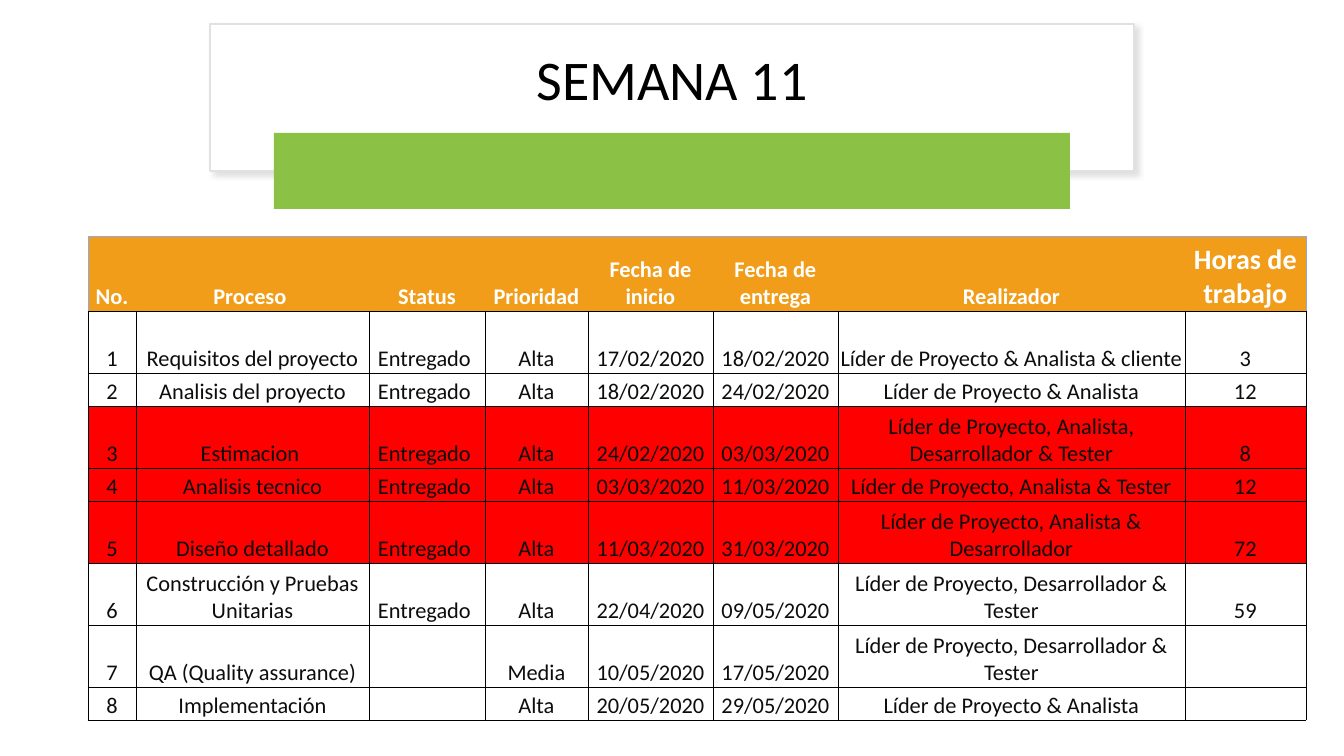
from lxml import etree
from pptx import Presentation, util as u
from pptx.dml.color import RGBColor
from pptx.enum import shapes, text
from pptx.oxml import ns

TITLE = "SEMANA 11"
HEADER = ["No.", "Proceso ", "Status", "Prioridad", "Fecha de inicio",
          "Fecha de entrega", "Realizador", "Horas de trabajo"]
DONE = "Entregado "
TASKS = [
    ("1", "Requisitos del proyecto", DONE, "Alta", "17/02/2020", "18/02/2020",
     "Líder de Proyecto & Analista & cliente", "3"),
    ("2", "Analisis del proyecto", DONE, "Alta", "18/02/2020", "24/02/2020",
     "Líder de Proyecto & Analista", "12"),
    ("3", "Estimacion ", DONE, "Alta", "24/02/2020", "03/03/2020",
     "Líder de Proyecto, Analista, Desarrollador & Tester", "8"),
    ("4", "Analisis tecnico", DONE, "Alta", "03/03/2020", "11/03/2020",
     "Líder de Proyecto, Analista & Tester", "12"),
    ("5", "Diseño detallado", DONE, "Alta", "11/03/2020", "31/03/2020",
     "Líder de Proyecto, Analista & Desarrollador", "72"),
    ("6", "Construcción y Pruebas Unitarias", DONE, "Alta", "22/04/2020", "09/05/2020",
     "Líder de Proyecto, Desarrollador & Tester", "59"),
    ("7", "QA (Quality assurance)", "", "Media", "10/05/2020", "17/05/2020",
     "Líder de Proyecto, Desarrollador & Tester", ""),
    ("8", "Implementación", "", "Alta", "20/05/2020", "29/05/2020",
     "Líder de Proyecto & Analista", ""),
]
LATE = {"3", "4", "5"}

THEME = dict(
    font="Calibri", title_size=40, cell_size=16, hours_size=20,
    black="000000", ink="0D0D0D", white="FFFFFF", card_line="E1E1E1", shadow="C5C3C3",
    green="8BC145", orange="F19D19", red="FF0000", blue="8EA9DB",
)
EMU_PER_PX = 914400 / 100.8
SLIDE = (1344, 756)
CARD = (210, 24, 924, 147)
TITLE_BOX = (232, 34, 880, 96)
BAR = (274, 133, 796, 76)
TABLE_AT = (88, 236)
COLS = [48, 233, 116, 103, 125, 125, 347, 121]
HEADER_H, TALL, SHORT = 75, 62, 33
ROWS = [HEADER_H] + [SHORT if t[0] in {"2", "4", "8"} else TALL for t in TASKS]


def px(n):
    return u.Emu(round(n * EMU_PER_PX))


def color(name):
    return RGBColor.from_string(THEME[name])


def add_box(slide, kind, box, fill, line=None):
    sp = slide.shapes.add_shape(kind, *map(px, box))
    sp.shadow.inherit = False
    sp.fill.solid()
    sp.fill.fore_color.rgb = color(fill)
    if line:
        sp.line.color.rgb = color(line)
        sp.line.width = u.Pt(1)
    else:
        sp.line.fill.background()
    return sp


def add_shadow(sp):
    effects = sp._element.spPr.find(ns.qn("a:effectLst"))
    shadow = etree.SubElement(effects, ns.qn("a:outerShdw"), blurRad=str(u.Pt(4)),
                              dist=str(u.Pt(3)), dir=str(45 * 60000), algn="tl", rotWithShape="0")
    clr = etree.SubElement(shadow, ns.qn("a:srgbClr"), val=THEME["shadow"])
    etree.SubElement(clr, ns.qn("a:alpha"), val="50000")


def style(p, size, ink, bold=False):
    p.alignment = text.PP_ALIGN.CENTER
    p.font.name = THEME["font"]
    p.font.size = u.Pt(size)
    p.font.bold = bold
    p.font.color.rgb = color(ink)


def set_borders(cell, **sides):
    """Draw each named side (L, R, T, B); a side set to None gets no line."""
    tc_pr = cell._tc.get_or_add_tcPr()
    for side in "LRTB":
        ln = etree.SubElement(tc_pr, ns.qn(f"a:ln{side}"), w=str(u.Pt(0.5)))
        if sides.get(side):
            fill = etree.SubElement(ln, ns.qn("a:solidFill"))
            etree.SubElement(fill, ns.qn("a:srgbClr"), val=THEME[sides[side]])
        else:
            etree.SubElement(ln, ns.qn("a:noFill"))


def fill_cell(cell, words, fill, size, ink, bold, borders):
    cell.margin_left = cell.margin_right = cell.margin_top = u.Inches(0.01)
    cell.margin_bottom = 0
    cell.vertical_anchor = text.MSO_ANCHOR.BOTTOM
    set_borders(cell, **borders)
    cell.fill.solid()
    cell.fill.fore_color.rgb = color(fill)
    cell.text = words
    style(cell.text_frame.paragraphs[0], size, ink, bold)


def add_title(slide):
    add_shadow(add_box(slide, shapes.MSO_SHAPE.RECTANGLE, CARD, "white", "card_line"))
    tf = slide.shapes.add_textbox(*map(px, TITLE_BOX)).text_frame
    tf.word_wrap = True
    tf.vertical_anchor = text.MSO_ANCHOR.MIDDLE
    p = tf.paragraphs[0]
    p.text = TITLE
    p.line_spacing = 0.9
    p.space_after = u.Pt(6)
    style(p, THEME["title_size"], "black")
    bar = add_box(slide, shapes.MSO_SHAPE.ROUNDED_RECTANGLE, BAR, "green")
    bar.adjustments[0] = 0


def add_schedule(slide):
    frame = slide.shapes.add_table(len(ROWS), len(COLS), *map(px, (*TABLE_AT, sum(COLS), sum(ROWS))))
    table = frame.table
    table.first_row = table.horz_banding = False
    for col, width in zip(table.columns, COLS):
        col.width = px(width)
    for row, height in zip(table.rows, ROWS):
        row.height = px(height)

    last = len(HEADER) - 1
    for c, words in enumerate(HEADER):
        borders = dict(L="blue" if c == 0 else None, R="blue" if c == last else None,
                       T="blue", B="black")
        size = THEME["hours_size" if c == last else "cell_size"]
        fill_cell(table.cell(0, c), words, "orange", size, "white", True, borders)
    grid = dict.fromkeys("LRTB", "black")
    for r, task in enumerate(TASKS, 1):
        fill = "red" if task[0] in LATE else "white"
        for c, words in enumerate(task):
            fill_cell(table.cell(r, c), words, fill, THEME["cell_size"], "ink", False, grid)


def main():
    prs = Presentation()
    prs.slide_width, prs.slide_height = map(px, SLIDE)
    slide = prs.slides.add_slide(prs.slide_layouts[6])
    add_title(slide)
    add_schedule(slide)
    prs.save("out.pptx")


if __name__ == "__main__":
    main()
